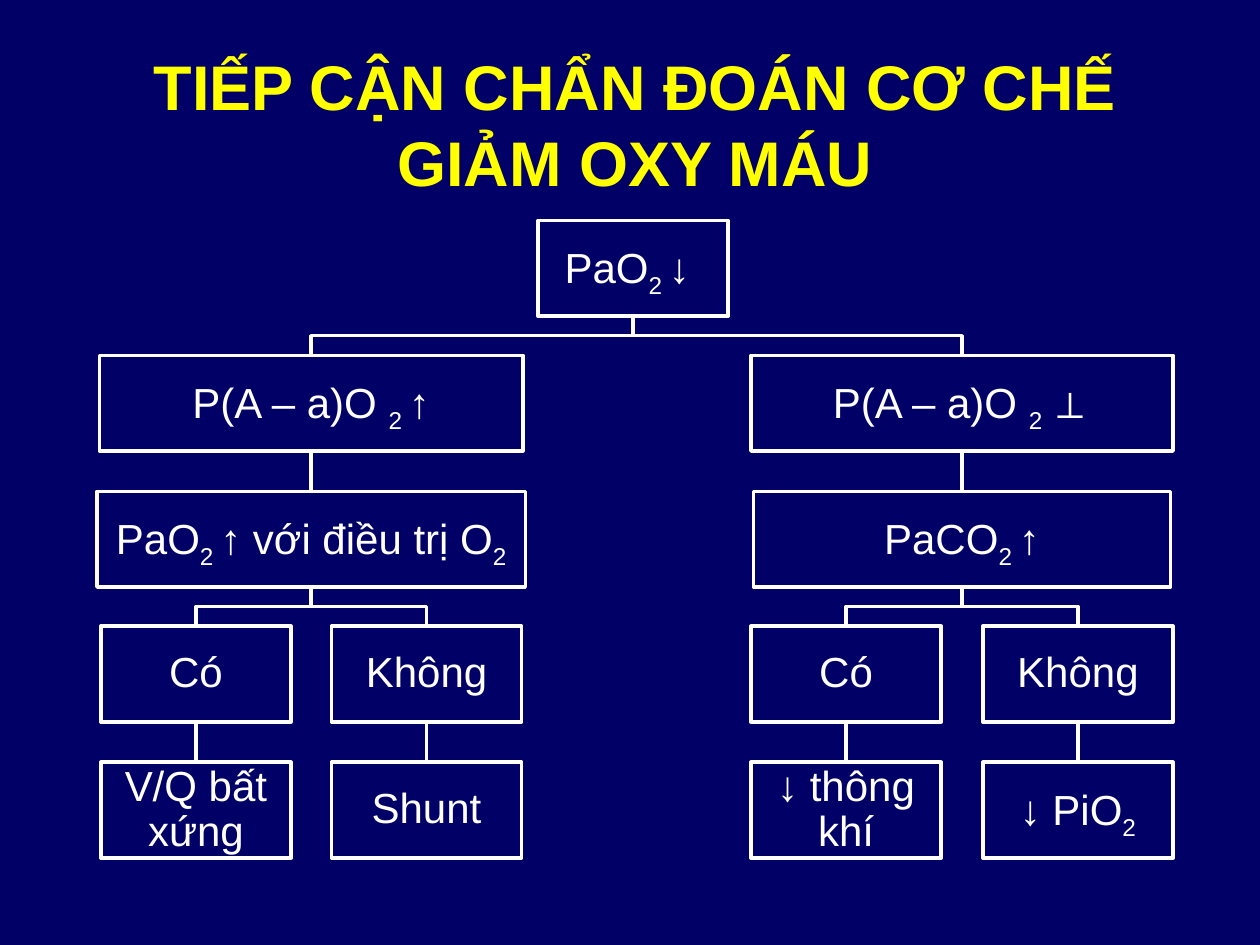
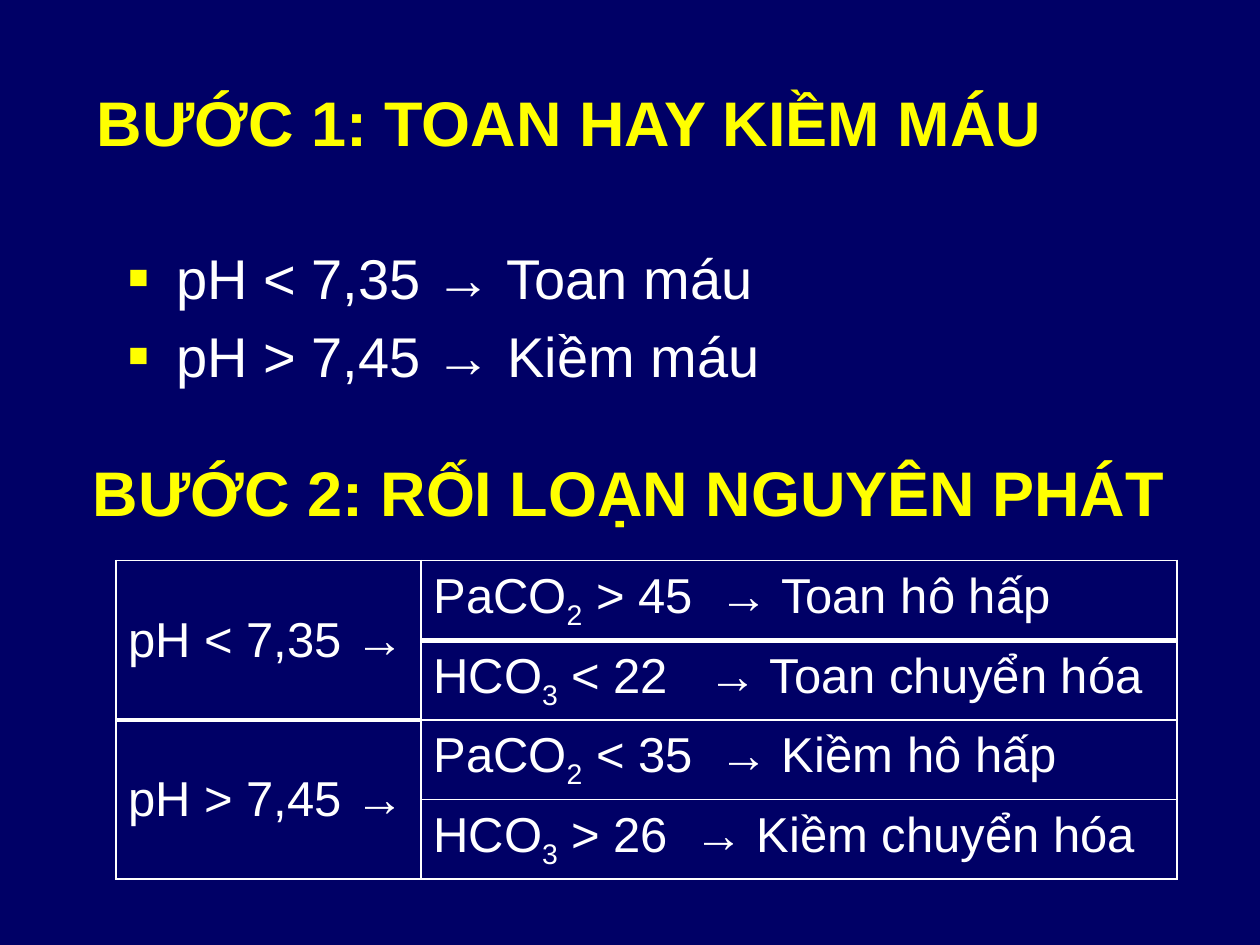
from lxml.etree import SubElement
from pptx import Presentation
from pptx.dml.color import RGBColor
from pptx.enum.shapes import MSO_CONNECTOR as Connector, MSO_SHAPE as Shape
from pptx.enum.text import MSO_ANCHOR as Anchor, PP_ALIGN as Align
from pptx.oxml import parse_xml
from pptx.oxml.ns import nsdecls, qn
from pptx.util import Pt

PX = 9144
NAVY = RGBColor(0x00, 0x00, 0x66)
YELLOW = RGBColor(0xFF, 0xFF, 0x00)
WHITE = RGBColor(0xFF, 0xFF, 0xFF)
FONT = "Arial"
BOX_HEIGHT = 76
LEAF_WIDTH = 151
SHADOW = (
    f'<a:effectLst {nsdecls("a")}><a:outerShdw blurRad="38100" dist="38100" dir="2700000">'
    '<a:srgbClr val="000000"/></a:outerShdw></a:effectLst>'
)


def px(*lengths):
    return [round(length * PX) for length in lengths]


def add_page(deck):
    page = deck.slides.add_slide(deck.slide_layouts[6])
    page.background.fill.solid()
    page.background.fill.fore_color.rgb = NAVY
    return page


def write(para, text, size, color=WHITE, bold=False, shadow=False):
    para.font.name = FONT
    para.font.size = Pt(size)
    para.font.bold = bold
    para.font.color.rgb = color
    for index, part in enumerate(text.split("|")):
        if not part:
            continue
        span = para.add_run()
        span.text = part
        properties = span._r.get_or_add_rPr()
        if index % 2:
            properties.set("baseline", "-25000")
        if shadow:
            properties.append(parse_xml(SHADOW))


def add_textbox(page, place, anchor):
    frame = page.shapes.add_textbox(*px(*place)).text_frame
    frame.word_wrap = True
    frame.vertical_anchor = anchor
    return frame


def add_heading(page, place, text, align):
    para = add_textbox(page, place, Anchor.MIDDLE).paragraphs[0]
    para.alignment = align
    write(para, text, 36, YELLOW, bold=True, shadow=True)


def add_bullets(page, place, lines):
    frame = add_textbox(page, place, Anchor.TOP)
    for index, line in enumerate(lines):
        para = frame.add_paragraph() if index else frame.paragraphs[0]
        if index:
            para.space_before = Pt(6.4)
        properties = para._p.get_or_add_pPr()
        properties.set("marL", str(38 * PX))
        properties.set("indent", str(-38 * PX))
        color = SubElement(properties, qn("a:buClr"))
        SubElement(color, qn("a:srgbClr"), val=str(YELLOW))
        SubElement(properties, qn("a:buSzPct"), val="60000")
        SubElement(properties, qn("a:buFont"), typeface=FONT)
        SubElement(properties, qn("a:buChar"), char="■")
        write(para, line, 32, shadow=True)


def add_box(page, level, left, width, text):
    top = 175 + level * 215 // 2
    box = page.shapes.add_shape(Shape.RECTANGLE, *px(left, top, width, BOX_HEIGHT))
    box.shadow.inherit = False
    box.fill.background()
    box.line.color.rgb = WHITE
    box.line.width = Pt(2)
    frame = box.text_frame
    frame.word_wrap = True
    frame.vertical_anchor = Anchor.MIDDLE
    frame.margin_left = frame.margin_right = frame.margin_top = frame.margin_bottom = 2 * PX
    para = frame.paragraphs[0]
    para.alignment = Align.CENTER
    para.line_spacing = 0.9
    write(para, text, 24)
    return box


def join_straight(page, upper, lower):
    line = page.shapes.add_connector(Connector.STRAIGHT, 0, 0, 0, 0)
    line.begin_connect(upper, 2)
    line.end_connect(lower, 0)
    line.line.color.rgb = WHITE
    line.line.width = Pt(2)
    SubElement(line._element.spPr, qn("a:effectLst"))


def join_branch(page, upper, lower):
    start, end = (box.left + box.width // 2 for box in (upper, lower))
    bottom = upper.top + upper.height
    middle = (bottom + lower.top) // 2
    builder = page.shapes.build_freeform(start, bottom)
    builder.add_line_segments([(start, middle), (end, middle), (end, lower.top)], close=False)
    branch = builder.convert_to_shape()
    branch.shadow.inherit = False
    branch.fill.background()
    branch.line.color.rgb = WHITE
    branch.line.width = Pt(2)


def add_arm(page, root, finding, test, leaves):
    finding_box = add_box(page, 1, *finding)
    test_box = add_box(page, 2, *test)
    join_branch(page, root, finding_box)
    join_straight(page, finding_box, test_box)
    for left, answer, cause in leaves:
        answer_box = add_box(page, 3, left, LEAF_WIDTH, answer)
        cause_box = add_box(page, 4, left, LEAF_WIDTH, cause)
        join_branch(page, test_box, answer_box)
        join_straight(page, answer_box, cause_box)


def set_borders(cell, bottom):
    properties = cell._tc.get_or_add_tcPr()
    for side, width in (("L", 1), ("R", 1), ("T", 1), ("B", bottom)):
        line = SubElement(properties, qn(f"a:ln{side}"), w=str(Pt(width)))
        fill = SubElement(line, qn("a:solidFill"))
        SubElement(fill, qn("a:srgbClr"), val=str(WHITE))


def fill_cell(cell, text, tab=None):
    cell.vertical_anchor = Anchor.MIDDLE
    para = cell.text_frame.paragraphs[0]
    if tab:
        stops = SubElement(para._p.get_or_add_pPr(), qn("a:tabLst"))
        SubElement(stops, qn("a:tab"), pos=str(tab * PX), algn="l")
    write(para, text, 28)


def add_disorder_table(page, groups, disorders):
    table = page.shapes.add_table(len(disorders), 2, *px(92, 445, 842, 240)).table
    table.first_row = table.horz_banding = False
    for column, width in zip(table.columns, px(242, 600)):
        column.width = width
    for row, (text, tab) in enumerate(disorders):
        table.rows[row].height = 60 * PX
        group_cell, disorder_cell = table.cell(row, 0), table.cell(row, 1)
        set_borders(group_cell, 3 if row < 2 else 1)
        set_borders(disorder_cell, 3 if row == 0 else 1)
        group_cell.fill.background()
        disorder_cell.fill.background()
        fill_cell(disorder_cell, text, tab)
    for index, text in enumerate(groups):
        cell = table.cell(2 * index, 0)
        cell.merge(table.cell(2 * index + 1, 0))
        fill_cell(cell, text)


def build_hypoxemia_page(deck):
    page = add_page(deck)
    add_heading(page, (47, 38, 914, 120), "TIẾP CẬN CHẨN ĐOÁN CƠ CHẾ GIẢM OXY MÁU", Align.CENTER)
    root = add_box(page, 0, 427, LEAF_WIDTH, "PaO|2 |↓ ")
    add_arm(
        page, root,
        (79, 336, "P(A – a)O |2 |↑"),
        (77, 340, "PaO|2 |↑ với điều trị O|2"),
        [(80, "Có", "V/Q bất xứng"), (263, "Không", "Shunt")],
    )
    add_arm(
        page, root,
        (596, 335, "P(A – a)O |2 |⊥"),
        (598, 331, "PaCO|2 |↑"),
        [(596, "Có", "↓ thông khí"), (780, "Không", "↓ PiO|2")],
    )


def build_acid_base_page(deck):
    page = add_page(deck)
    add_heading(page, (67, 46, 861, 100), "BƯỚC 1: TOAN HAY KIỀM MÁU", Align.LEFT)
    add_bullets(page, (92, 188, 850, 140), ["pH < 7,35 → Toan máu", "pH > 7,45 → Kiềm máu"])
    add_heading(page, (42, 342, 914, 95), "BƯỚC 2: RỐI LOẠN NGUYÊN PHÁT", Align.CENTER)
    add_disorder_table(
        page,
        ["pH < 7,35 →", "pH > 7,45 →"],
        [
            ("PaCO|2| > 45\t→ Toan hô hấp", 227),
            ("HCO|3| < 22\t→ Toan chuyển hóa", 218),
            ("PaCO|2| < 35\t→ Kiềm hô hấp", 227),
            ("HCO|3| > 26\t→ Kiềm chuyển hóa", 207),
        ],
    )


def main():
    deck = Presentation()
    deck.slide_width, deck.slide_height = px(1000, 750)
    build_hypoxemia_page(deck)
    build_acid_base_page(deck)
    deck.save("out.pptx")


if __name__ == "__main__":
    main()
